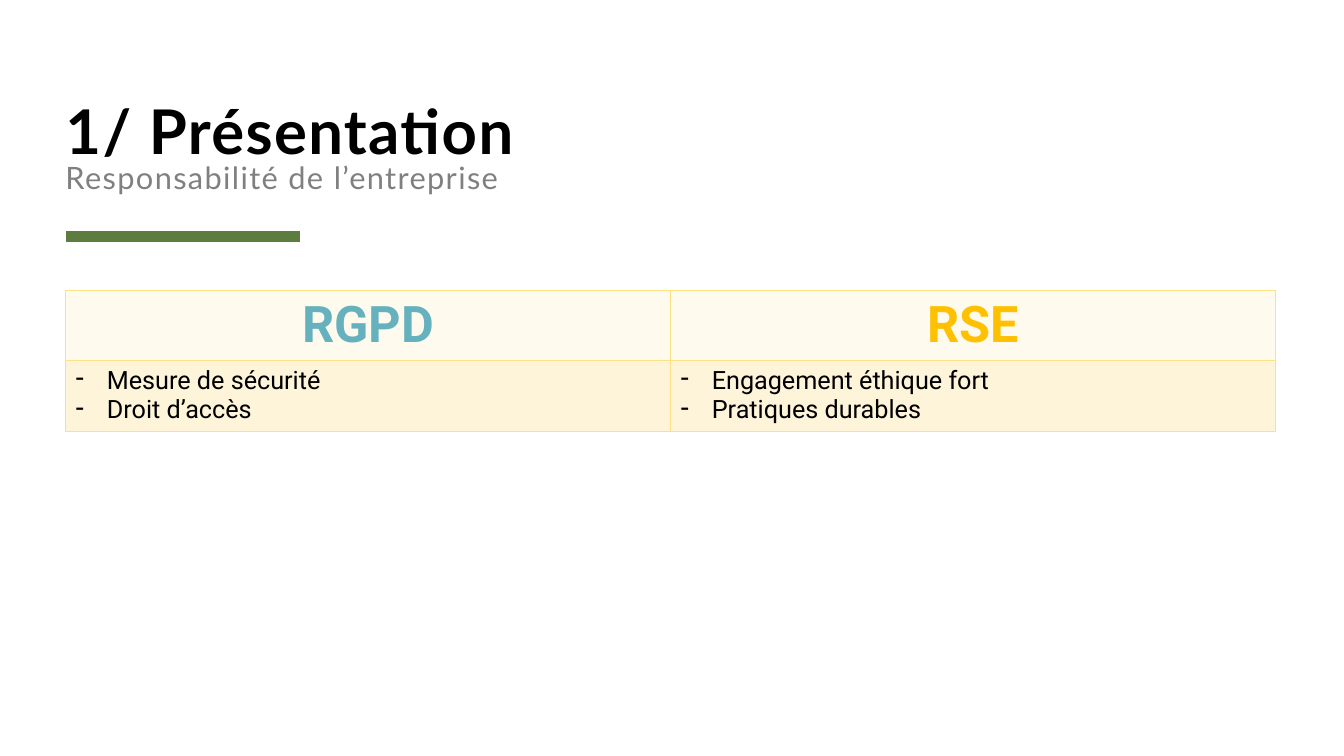
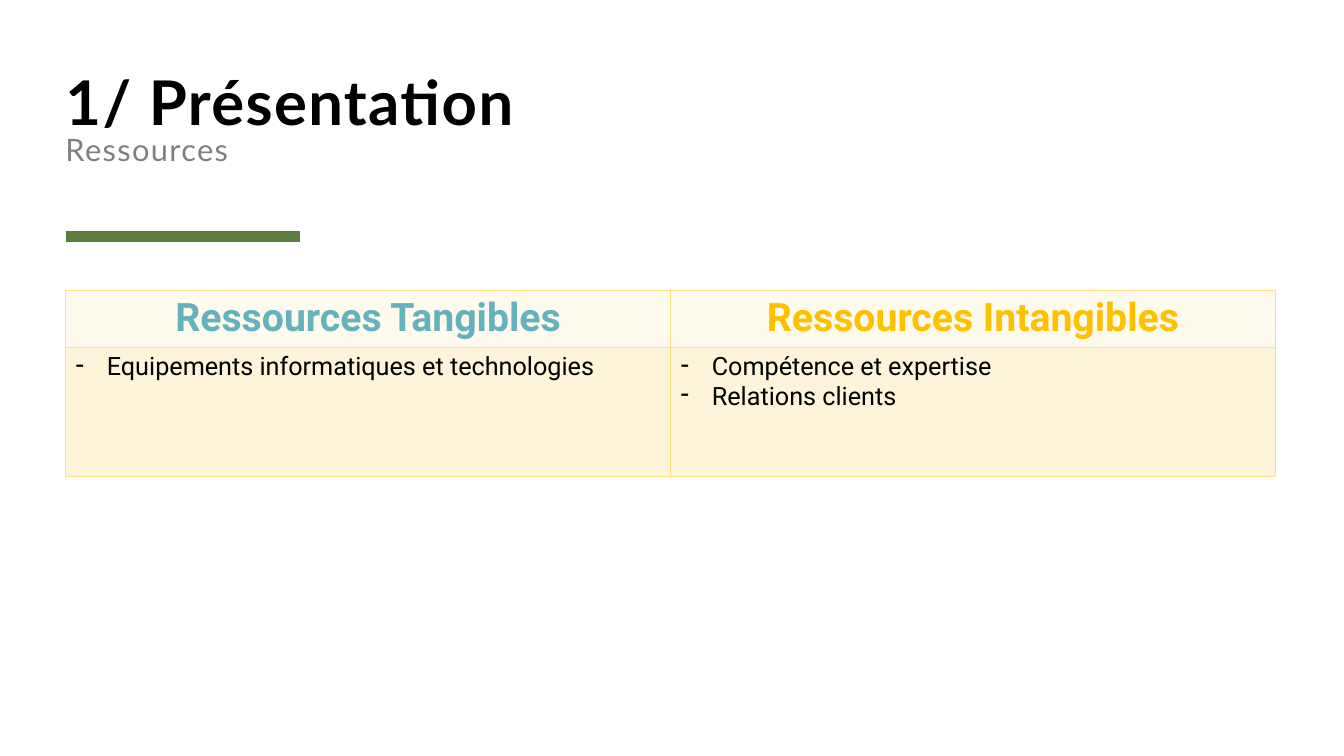
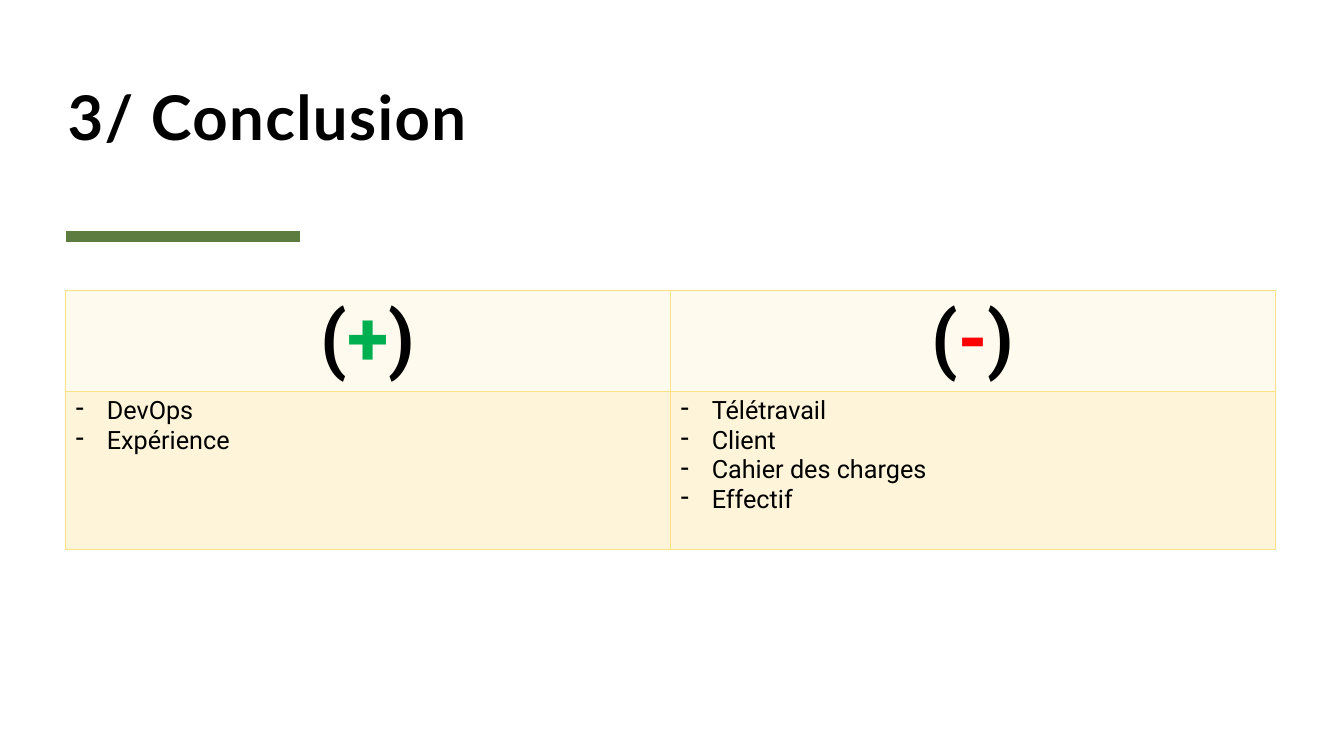
from lxml import etree
from pptx import Presentation, util as u
from pptx.dml.color import RGBColor
from pptx.enum import shapes, text
from pptx.oxml import ns

# Shared look
LEFT, WIDE = 0.65, 12
BLACK, GREY, GREEN = "000000", "808080", "5D7D40"
TEAL, GOLD, PLUS, MINUS = "65B2BE", "FFC000", "00B050", "FF0000"
HEAD, BODY, EDGE = "FEFAED", "FDF4D9", "FBE284"


def color(code):
    return RGBColor.from_string(code)


def node(parent, tag, **attrs):
    return etree.SubElement(parent, ns.qn(tag), attrs)


def add_run(para, words, size, face, code=BLACK, bold=False):
    run = para.add_run()
    run.text = words
    font = run.font
    font.size, font.name, font.bold = u.Pt(size), face, bold
    font.color.rgb = color(code)
    return run


# Title, with an optional grey second line, standing on its base
def add_title(slide, left, base, title, sub=None):
    high = 1.2
    box = slide.shapes.add_textbox(u.Inches(left), u.Inches(base - high),
                                   u.Inches(WIDE), u.Inches(high))
    frame = box.text_frame
    frame.word_wrap = True
    frame.vertical_anchor = text.MSO_ANCHOR.BOTTOM
    frame.margin_left = frame.margin_right = 0
    frame.margin_top = frame.margin_bottom = 0
    lines = [(title, 44, BLACK, True)]
    if sub:
        lines.append((sub, 22, GREY, False))
    for i, (words, size, code, bold) in enumerate(lines):
        para = frame.add_paragraph() if i else frame.paragraphs[0]
        para.line_spacing = 0.8
        run = add_run(para, words, size, "Lato", code, bold)
        run.font._element.set("spc", "100")


# Green rule under the title
def add_rule(slide):
    y = u.Inches(2.35)
    rule = slide.shapes.add_connector(shapes.MSO_CONNECTOR.STRAIGHT,
                                      u.Inches(LEFT), y, u.Inches(2.98), y)
    rule.line.color.rgb = color(GREEN)
    rule.line.width = u.Pt(8)
    node(rule._element.spPr, "a:effectLst")


# Table cells
def style_cell(cell, fill):
    props = cell._tc.get_or_add_tcPr()
    for side in ("a:lnL", "a:lnR", "a:lnT", "a:lnB"):
        line = node(props, side, w=str(u.Pt(1)))
        node(node(line, "a:solidFill"), "a:srgbClr", val=EDGE)
    cell.fill.solid()
    cell.fill.fore_color.rgb = color(fill)


def add_head(cell, size, runs):
    style_cell(cell, HEAD)
    para = cell.text_frame.paragraphs[0]
    para.alignment = text.PP_ALIGN.CENTER
    for words, code in runs:
        add_run(para, words, size, "Roboto", code, True)


def add_list(cell, items):
    style_cell(cell, BODY)
    frame = cell.text_frame
    step = u.Inches(0.31)
    for i, item in enumerate(items):
        para = frame.add_paragraph() if i else frame.paragraphs[0]
        props = para._p.get_or_add_pPr()
        props.set("marL", str(step))
        props.set("indent", str(-step))
        node(props, "a:buChar", char="-")
        add_run(para, item, 18, "Roboto")


# Two columns, each a heading above a list
def add_pair(slide, size, rows, cols):
    frame = slide.shapes.add_table(2, len(cols), u.Inches(LEFT), u.Inches(2.88),
                                   u.Inches(WIDE), u.Inches(sum(rows)))
    table = frame.table
    table.first_row = table.horz_banding = False
    for row, high in zip(table.rows, rows):
        row.height = u.Inches(high)
    for i, (runs, items) in enumerate(cols):
        table.columns[i].width = u.Inches(WIDE / len(cols))
        add_head(table.cell(0, i), size, runs)
        add_list(table.cell(1, i), items)


def sign(mark, code):
    return [("(", BLACK), (mark, code), (")", BLACK)]


def main():
    deck = Presentation()
    deck.slide_width, deck.slide_height = u.Inches(13.33), u.Inches(7.5)

    def add_slide(title, size, rows, cols):
        slide = deck.slides.add_slide(deck.slide_layouts[6])
        add_rule(slide)
        add_title(slide, *title)
        add_pair(slide, size, rows, cols)

    # Company duties
    add_slide((LEFT, 1.94, "1/ Présentation", "Responsabilité de l’entreprise"),
              36, (0.69, 0.69), [
        ([("RGPD", TEAL)], ["Mesure de sécurité", "Droit d’accès"]),
        ([("RSE", GOLD)], ["Engagement éthique fort", "Pratiques durables"]),
    ])

    # Resources
    add_slide((LEFT, 1.66, "1/ Présentation", "Ressources"), 28, (0.55, 1.28), [
        ([("Ressources Tangibles", TEAL)],
         ["Equipements informatiques et technologies"]),
        ([("Ressources Intangibles", GOLD)],
         ["Compétence et expertise", "Relations clients"]),
    ])

    # Closing balance
    add_slide((0.67, 1.51, "3/ Conclusion"), 54, (0.98, 1.57), [
        (sign("+", PLUS), ["DevOps", "Expérience"]),
        (sign("-", MINUS),
         ["Télétravail", "Client", "Cahier des charges", "Effectif"]),
    ])

    deck.save("out.pptx")


if __name__ == "__main__":
    main()
